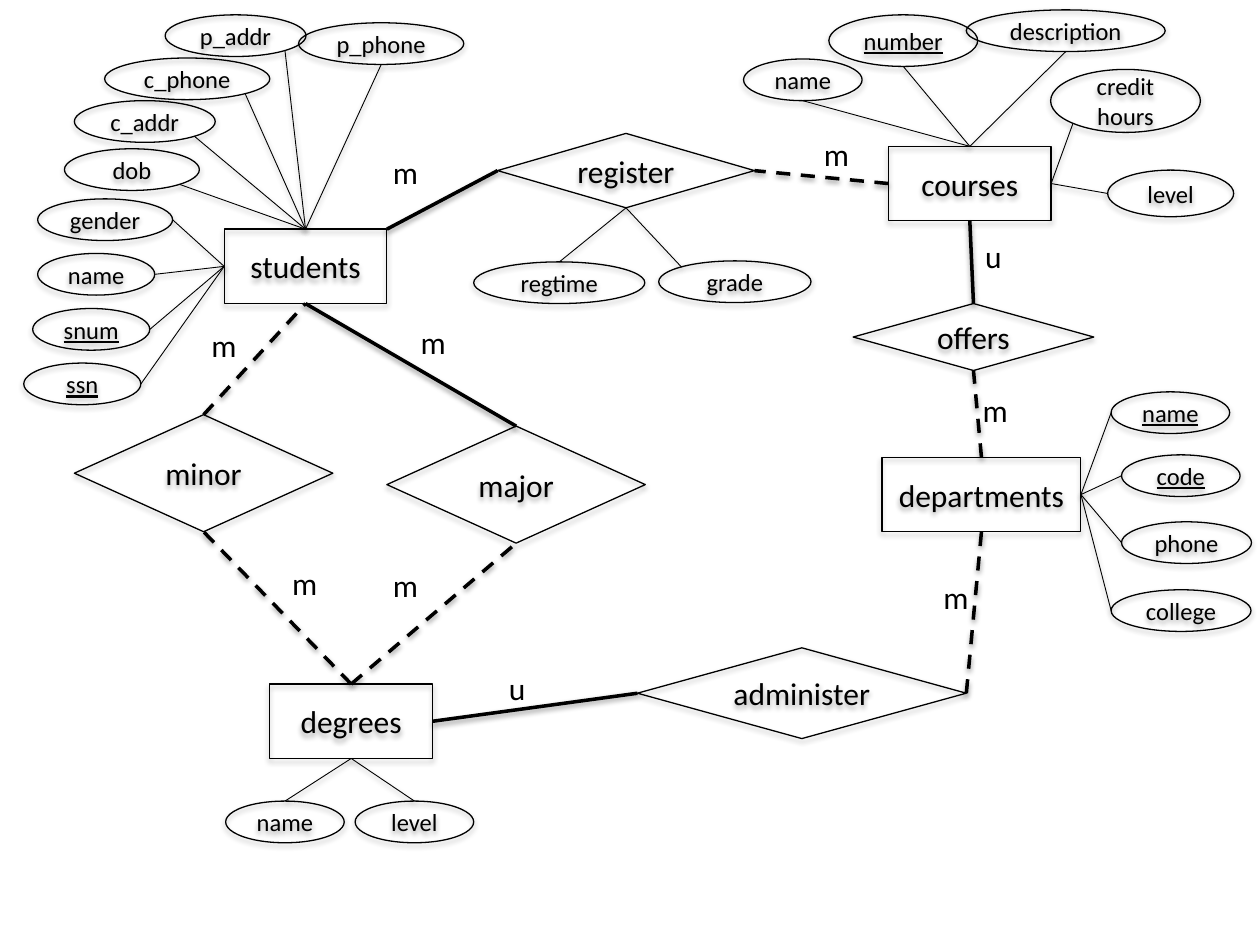
from lxml import etree
from pptx import Presentation
from pptx.dml.color import RGBColor
from pptx.enum.dml import MSO_LINE
from pptx.enum.shapes import MSO_CONNECTOR, MSO_SHAPE
from pptx.enum.text import MSO_ANCHOR, MSO_AUTO_SIZE, PP_ALIGN
from pptx.oxml.ns import qn
from pptx.util import Cm, Pt

RECT, RHOMB, OVAL = MSO_SHAPE.RECTANGLE, MSO_SHAPE.DIAMOND, MSO_SHAPE.OVAL
LINE, DASH = MSO_CONNECTOR.STRAIGHT, MSO_LINE.DASH
LEFT, MID = PP_ALIGN.LEFT, PP_ALIGN.CENTER
TOP, CENTER = MSO_ANCHOR.TOP, MSO_ANCHOR.MIDDLE
GROW = MSO_AUTO_SIZE.SHAPE_TO_FIT_TEXT

THEME = {
    "ink": "000000", "font": "Calibri", "big": 18, "small": 14,
    "edge": 0.75, "thick": 2, "thin": 0.5,
    # alpha percent, distance in points
    "box_shade": (35, 1.8), "line_shade": (38, 1.6), "blur": 3.1,
}

# Lengths are centimetres: left, top, width, height
ENTITIES = {
    "students": (4.52, 4.62, 3.28, 1.5),
    "departments": (17.78, 9.22, 4.01, 1.5),
    "degrees": (5.44, 13.79, 3.28, 1.5),
    "courses": (17.91, 2.95, 3.28, 1.5),
}
RELATIONS = {
    "major": (7.8, 8.59, 5.21, 2.36),
    "minor": (1.5, 8.36, 5.21, 2.36),
    "administer": (12.85, 13.06, 6.63, 1.83),
    "offers": (17.2, 6.12, 4.85, 1.35),
    "register": (10.03, 2.69, 5.18, 1.5),
}

# Start, side, end, side, dashed; sides: 0 top, 1 left, 2 bottom, 3 right
LINKS = [
    ("students", "corner", "register", 1, False),
    ("courses", 1, "register", 3, True),
    ("minor", 0, "students", 2, True),
    ("major", 0, "students", 2, False),
    ("degrees", 0, "minor", 2, True),
    ("degrees", 0, "major", 2, True),
    ("degrees", 3, "administer", 1, False),
    ("administer", 3, "departments", 2, True),
    ("departments", 0, "offers", 2, True),
    ("offers", 0, "courses", 2, False),
]

# Text, left, top, width
LABELS = [
    ("u", 10.01, 13.36, 0.74), ("m", 18.77, 11.53, 0.74),
    ("m", 19.56, 7.75, 0.74), ("u", 19.61, 4.65, 0.74),
    ("m", 16.36, 2.59, 1.04), ("m", 7.67, 2.97, 1.04),
    ("m", 4.01, 6.45, 1.04), ("m", 8.23, 6.38, 1.04),
    ("m", 5.64, 11.25, 1.04), ("m", 7.67, 11.28, 1.04),
]

# Owner: text, left, top, width, height, owner side, own point
FLAT = 0.84
FIELDS = {
    "students": [
        ("name", 0.76, 5.11, 2.36, FLAT, 1, "r"),
        ("snum", 0.66, 6.22, 2.36, FLAT, 1, "r"),
        ("ssn", 0.48, 7.32, 2.36, FLAT, 1, "r"),
        ("gender", 0.76, 4.01, 2.72, FLAT, 1, "r"),
        ("dob", 1.3, 3, 2.72, FLAT, 0, "br"),
        ("c_addr", 1.5, 2.03, 2.84, FLAT, 0, "br"),
        ("p_addr", 3.33, 0.3, 2.84, FLAT, 0, "br"),
        ("c_phone", 2.11, 1.17, 3.33, FLAT, 0, "br"),
        ("p_phone", 6.02, 0.46, 3.33, FLAT, 0, "b"),
    ],
    "departments": [
        ("name", 22.4, 7.9, 2.39, FLAT, 3, "l"),
        ("code", 22.61, 9.17, 2.39, FLAT, 3, "l"),
        ("phone", 22.61, 10.52, 2.62, FLAT, 3, "l"),
        ("college", 22.4, 11.89, 2.82, FLAT, 3, "l"),
    ],
    "courses": [
        ("name", 14.99, 1.19, 2.39, FLAT, 0, "b"),
        ("description", 19.48, 0.2, 4.01, FLAT, 0, "b"),
        ("number", 16.71, 0.3, 3, 1.04, 0, "b"),
        ("credit\nhours", 21.18, 1.4, 3.02, 1.27, 3, "bl"),
        ("level", 22.33, 3.43, 2.54, 0.94, 3, "l"),
    ],
    "degrees": [
        ("name", 4.55, 16.15, 2.39, FLAT, 2, "t"),
        ("level", 7.16, 16.15, 2.39, FLAT, 2, "t"),
    ],
    "register": [
        ("regtime", 9.55, 5.28, 3.45, FLAT, 2, "t"),
        ("grade", 13.28, 5.26, 3.07, FLAT, 2, "tl"),
    ],
}
KEYS = {("students", "snum"), ("students", "ssn"), ("departments", "name"),
        ("departments", "code"), ("courses", "number")}

# Points on an oval as shares of its width and height
LOW, HIGH = 0.15, 0.85
POINTS = {"t": (0.5, 0), "l": (0, 0.5), "b": (0.5, 1), "r": (1, 0.5),
          "tl": (LOW, LOW), "bl": (LOW, HIGH), "br": (HIGH, HIGH)}

INK = RGBColor.from_string(THEME["ink"])


def write(shape, text, size, align=MID, anchor=CENTER, wrap=False, under=None):
    frame = shape.text_frame
    frame.word_wrap, frame.vertical_anchor = wrap, anchor
    frame.text = text
    for para in frame.paragraphs:
        para.alignment = align
        font = para.runs[0].font
        font.name, font.size, font.underline = THEME["font"], Pt(size), under
        font.color.rgb = INK


def shade(props, alpha, dist):
    """Put a soft shadow straight below the shape."""
    old = props.find(qn("a:effectLst"))
    effect = etree.SubElement(props, qn("a:effectLst")) if old is None else old
    outer = etree.SubElement(
        effect, qn("a:outerShdw"), blurRad=str(Pt(THEME["blur"])),
        dist=str(Pt(dist)), dir="5400000", rotWithShape="0")
    color = etree.SubElement(outer, qn("a:srgbClr"), val=THEME["ink"])
    etree.SubElement(color, qn("a:alpha"), val=str(alpha * 1000))


def add_box(slide, kind, text, area, size, under=None):
    box = slide.shapes.add_shape(kind, *map(Cm, area))
    box.fill.background()
    box.line.color.rgb, box.line.width = INK, Pt(THEME["edge"])
    box.shadow.inherit = False
    shade(box.element.spPr, *THEME["box_shade"])
    write(box, text, size, under=under)
    return box


def add_line(slide, width, dash=False, start=(0, 0), end=(0, 0)):
    line = slide.shapes.add_connector(LINE, *start, *end)
    line.line.color.rgb, line.line.width = INK, Pt(width)
    if dash:
        line.line.dash_style = DASH
    shade(line.element.spPr, *THEME["line_shade"])
    return line


def main():
    deck = Presentation()
    deck.slide_width, deck.slide_height = Cm(25.4), Cm(19.05)
    slide = deck.slides.add_slide(deck.slide_layouts[6])

    # Entities and relations
    boxes = {}
    for kind, group in ((RECT, ENTITIES), (RHOMB, RELATIONS)):
        for name, area in group.items():
            boxes[name] = add_box(slide, kind, name, area, THEME["big"])

    # Links between entities and relations
    for first, side, last, goal, dash in LINKS:
        box = boxes[first]
        line = add_line(slide, THEME["thick"], dash,
                        start=(box.left + box.width, box.top))
        if side != "corner":
            line.begin_connect(box, side)
        line.end_connect(boxes[last], goal)

    # Cardinality labels
    for text, left, top, width in LABELS:
        label = slide.shapes.add_textbox(Cm(left), Cm(top), Cm(width), Cm(1.02))
        write(label, text, THEME["big"], align=LEFT, anchor=TOP, wrap=True)
        label.text_frame.auto_size = GROW

    # Attributes, each tied to its owner
    for owner, fields in FIELDS.items():
        for text, *area, side, point in fields:
            oval = add_box(slide, OVAL, text, area, THEME["small"],
                           under=(owner, text) in KEYS or None)
            across, down = POINTS[point]
            end = (oval.left + int(oval.width * across),
                   oval.top + int(oval.height * down))
            line = add_line(slide, THEME["thin"], end=end)
            line.begin_connect(boxes[owner], side)

    deck.save("out.pptx")


if __name__ == "__main__":
    main()
